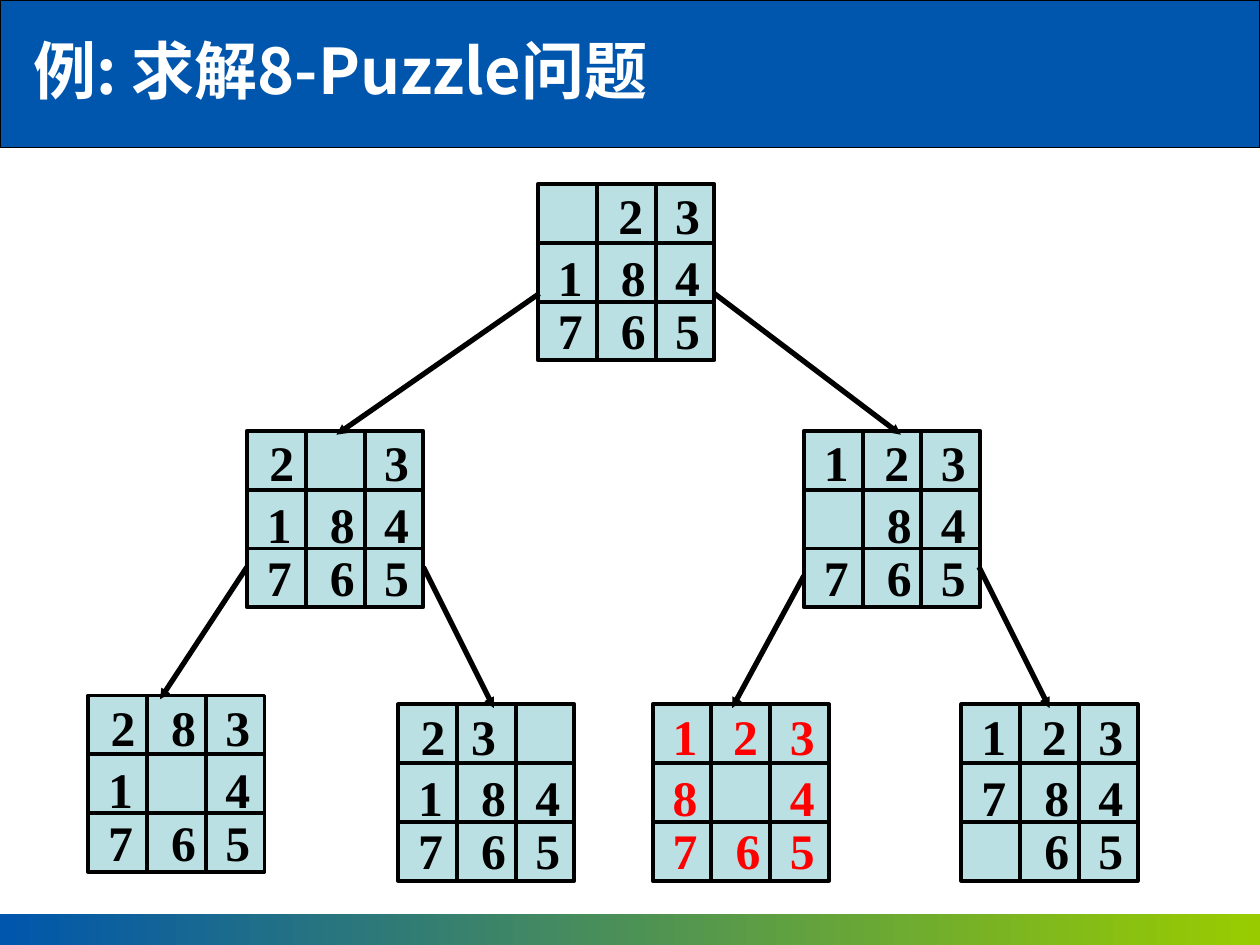
from lxml.etree import SubElement
from pptx import Presentation
from pptx.dml.color import RGBColor
from pptx.enum.shapes import MSO_CONNECTOR, MSO_SHAPE
from pptx.enum.text import MSO_ANCHOR, PP_ALIGN
from pptx.oxml.ns import qn
from pptx.util import Inches, Pt

TITLE = "例: 求解8-Puzzle问题"
BLACK, RED = "000000", "FF0000"
BOARDS = [
    (4.27, 1.46, (" 23", "184", "765"), BLACK),
    (1.96, 3.42, ("2 3", "184", "765"), BLACK),
    (6.38, 3.42, ("123", " 84", "765"), BLACK),
    (5.18, 5.59, ("123", "8 4", "765"), RED),
    (7.63, 5.59, ("123", "784", " 65"), BLACK),
    (3.16, 5.59, ("23 ", "184", "765"), BLACK),
    (0.7, 5.52, ("283", "1 4", "765"), BLACK),
]
MOVES = [
    (4.28, 2.33, 2.67, 3.45),
    (5.67, 2.33, 7.15, 3.45),
    (1.96, 4.5, 1.27, 5.55),
    (3.36, 4.5, 3.92, 5.62),
    (6.38, 4.57, 5.81, 5.62),
    (7.77, 4.5, 8.33, 5.62),
]
SIDE = 1.4
CELL = SIDE / 3
DIGIT_LEFTS = (0.06, 0.56, 0.99)
DIGIT_TOPS = (-0.04, 0.45, 0.87)
NUDGES = {("2", 0): 0.02, ("2", 1): -0.02, ("3", 1): -0.08}


def color(value):
    return RGBColor.from_string(value)


def add_rect(shapes, left, top, width, height, fill=None, line_width=None):
    rect = shapes.add_shape(MSO_SHAPE.RECTANGLE, Inches(left), Inches(top),
                            Inches(width), Inches(height))
    rect.shadow.inherit = False
    if fill:
        rect.fill.solid()
        rect.fill.fore_color.rgb = color(fill)
    else:
        rect.fill.background()
    if line_width:
        rect.line.color.rgb = color(BLACK)
        rect.line.width = Pt(line_width)
    else:
        rect.line.fill.background()
    return rect


def add_line(shapes, x1, y1, x2, y2, width):
    line = shapes.add_connector(MSO_CONNECTOR.STRAIGHT, Inches(x1), Inches(y1),
                                Inches(x2), Inches(y2))
    line.line.color.rgb = color(BLACK)
    line.line.width = Pt(width)
    SubElement(line._element.spPr, qn("a:effectLst"))
    return line


def write(frame, text, font_name, size, text_color):
    frame.text = text
    run = frame.paragraphs[0].runs[0]
    run.font.name = font_name
    run.font.size = Pt(size)
    run.font.bold = True
    run.font.color.rgb = color(text_color)
    SubElement(run.font._element, qn("a:ea"), typeface=font_name)


def add_board(shapes, left, top, rows, digit_color):
    board = shapes.add_group_shape().shapes
    add_rect(board, left, top, SIDE, SIDE, "BBE0E3", 2.25)
    for step in (CELL, 2 * CELL):
        add_line(board, left, top + step, left + SIDE, top + step, 2.25)
        add_line(board, left + step, top, left + step, top + SIDE, 2.25)
    for row, digits in enumerate(rows):
        for column, digit in enumerate(digits):
            if digit == " ":
                continue
            x = left + DIGIT_LEFTS[column] + NUDGES.get((digit, column), 0)
            tile = board.add_textbox(Inches(x), Inches(top + DIGIT_TOPS[row]),
                                     Inches(0.4), Inches(0.58))
            tile.text_frame.word_wrap = False
            write(tile.text_frame, digit, "Times New Roman", 28.4, digit_color)


def main():
    prs = Presentation()
    prs.slide_width, prs.slide_height = Inches(10), Inches(7.5)
    shapes = prs.slides.add_slide(prs.slide_layouts[6]).shapes

    add_rect(shapes, 0, 0, 10, 1.17, "0056AC", 0.75)
    footer = add_rect(shapes, 0, 7.25, 10, 0.25)
    footer.fill.gradient()
    footer.fill.gradient_angle = 0
    for stop, value, position in zip(footer.fill.gradient_stops, ("0056AC", "99CC00"), (0, 1)):
        stop.color.rgb = color(value)
        stop.position = position

    title = add_rect(shapes, 0.17, 0.2, 5.64, 0.88).text_frame
    title.word_wrap = True
    title.vertical_anchor = MSO_ANCHOR.TOP
    write(title, TITLE, "Noto Sans CJK SC", 36, "FFFFFF")
    title.paragraphs[0].alignment = PP_ALIGN.JUSTIFY

    for board in BOARDS:
        add_board(shapes, *board)
    for move in MOVES:
        arrow = add_line(shapes, *move, 3)
        SubElement(arrow.line._get_or_add_ln(), qn("a:tailEnd"),
                   type="triangle", w="sm", len="sm")

    prs.save("out.pptx")


if __name__ == "__main__":
    main()
